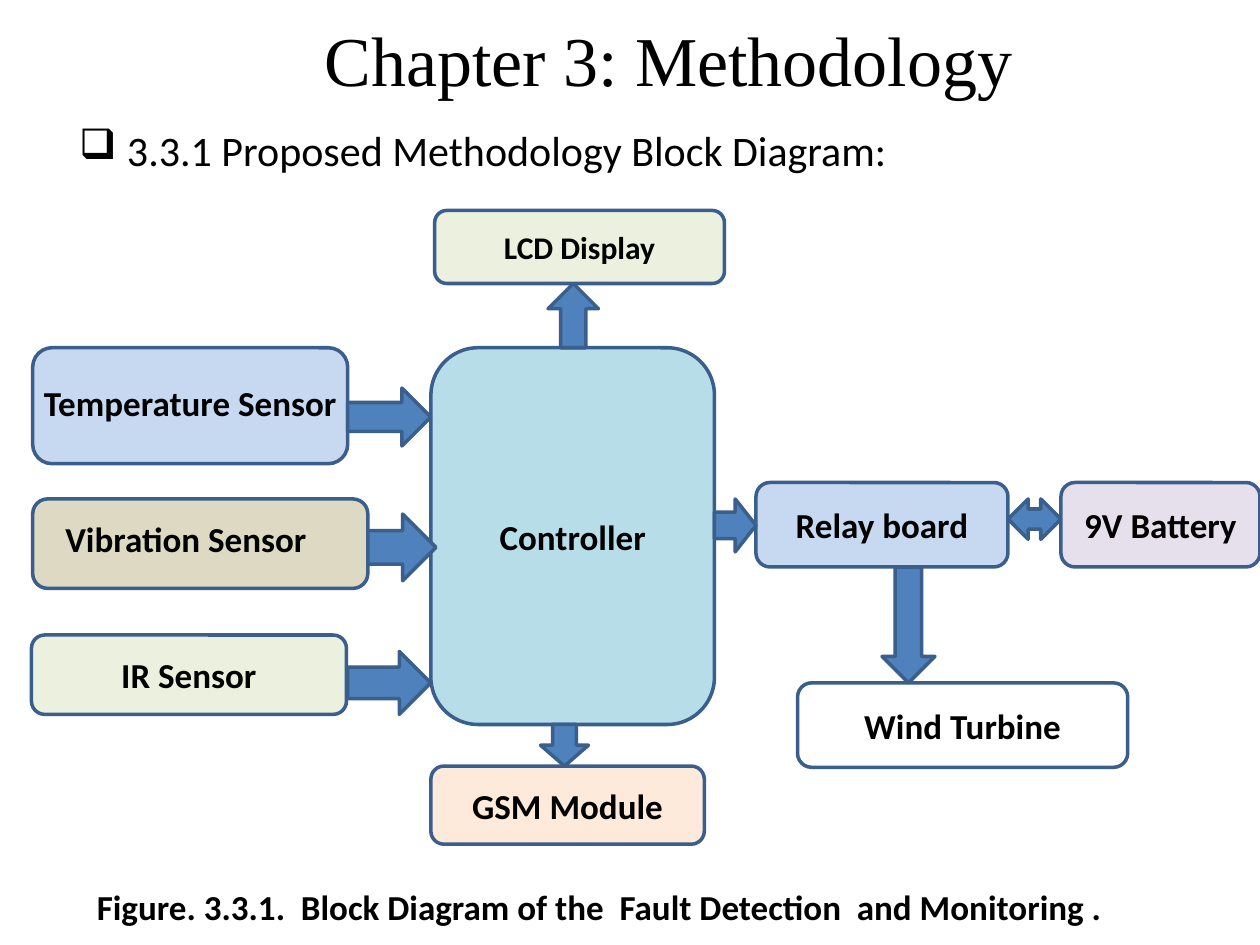
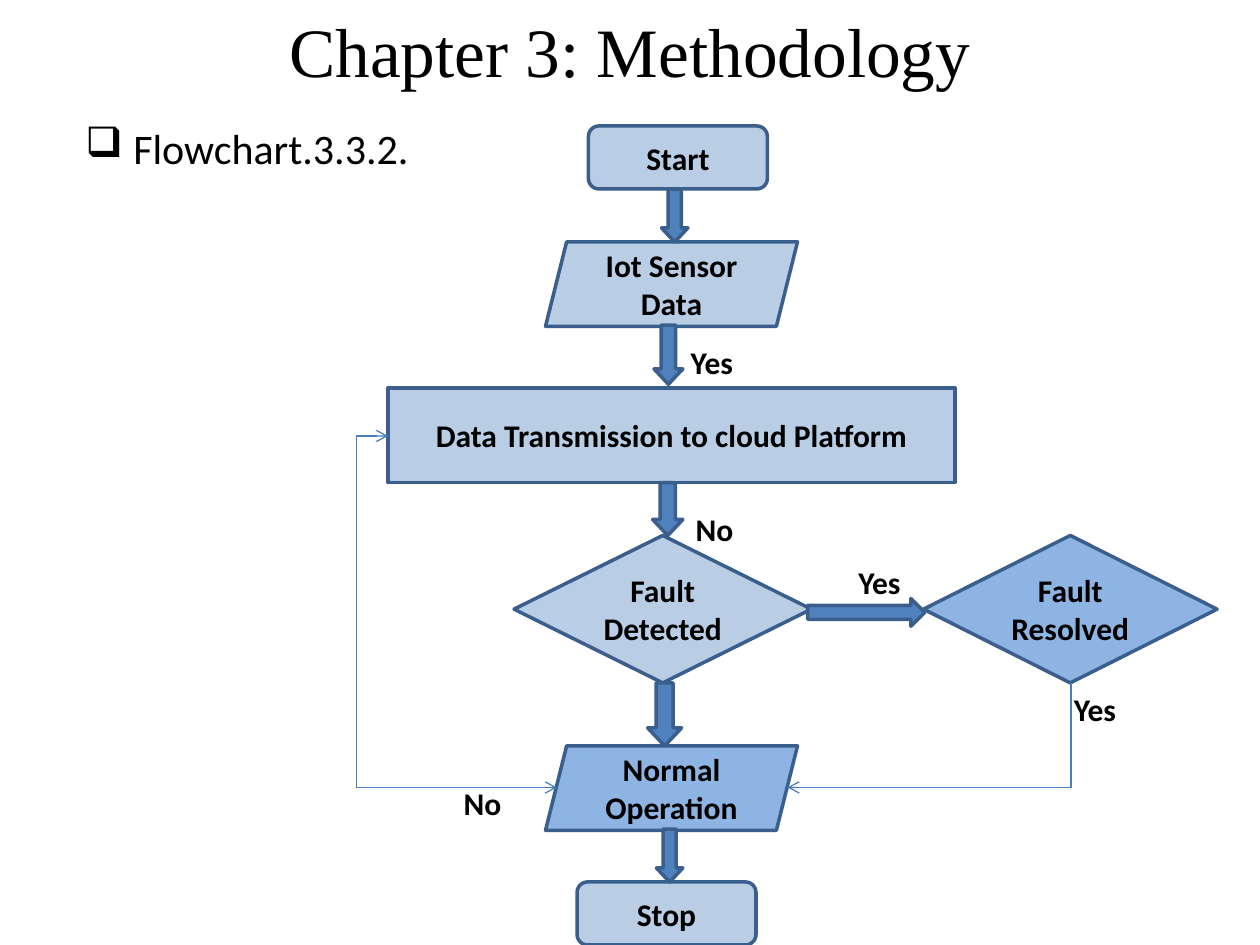
"""Build two methodology slides: a block diagram and a flowchart."""
import dataclasses
import typing

import pptx
import pptx.dml.color
import pptx.enum.shapes
import pptx.enum.text
import pptx.oxml.ns
import pptx.util
from lxml import etree

Inches = pptx.util.Inches
RGBColor = pptx.dml.color.RGBColor
Kind = pptx.enum.shapes.MSO_SHAPE
Align = pptx.enum.text.PP_ALIGN
Anchor = pptx.enum.text.MSO_ANCHOR
qn = pptx.oxml.ns.qn
Box = tuple[float, float, float, float]

BLACK = RGBColor(0, 0, 0)
WHITE = RGBColor(255, 255, 255)
EDGE = RGBColor(0x3A, 0x5F, 0x8C)
ARROW = RGBColor(0x4F, 0x81, 0xBD)
WIRE = RGBColor(0x4B, 0x7E, 0xBC)
AQUA = RGBColor(0xB7, 0xDE, 0xE8)
SKY = RGBColor(0xC6, 0xD9, 0xF1)
TAN = RGBColor(0xDD, 0xD9, 0xC3)
GREEN = RGBColor(0xEB, 0xF1, 0xDE)
LILAC = RGBColor(0xE6, 0xE0, 0xEC)
PEACH = RGBColor(0xFD, 0xEA, 0xDA)
PALE = RGBColor(0xB9, 0xCD, 0xE5)
BLUE = RGBColor(0x8E, 0xB4, 0xE3)
BODY = "Calibri"
SERIF = "Times New Roman"
TITLE = "Chapter 3: Methodology"


@dataclasses.dataclass
class Node:
    """A filled shape, with text if it has any."""
    box: Box
    fill: RGBColor = ARROW
    text: str = ""
    size: float = 18
    kind: Kind = Kind.ROUNDED_RECTANGLE
    head: float | None = None


@dataclasses.dataclass
class Label:
    """A line of bold text that stands free."""
    box: Box
    text: str
    size: float = 18
    align: Align = Align.CENTER
    wrap: bool = False


@dataclasses.dataclass
class Wire:
    """A thin bent line with an arrow at its start."""
    start: tuple[float, float]
    end: tuple[float, float]
    preset: str
    bend: int | None = None
    both: bool = False


def write(frame: typing.Any, text: str, *, size: float, font: str = BODY,
          bold: bool = False, align: Align = Align.LEFT, wrap: bool = True,
          anchor: Anchor = Anchor.TOP, bullet: str = "") -> None:
    """Put one formatted paragraph in a text frame."""
    frame.word_wrap = wrap
    frame.vertical_anchor = anchor
    para = frame.paragraphs[0]
    para.alignment = align
    if bullet:
        props = para._p.get_or_add_pPr()
        props.set("marL", str(Inches(0.38)))
        props.set("indent", str(Inches(-0.38)))
        etree.SubElement(props, qn("a:buChar")).set("char", bullet)
    run = para.add_run()
    run.text = text
    run.font.name = font
    run.font.size = pptx.util.Pt(size)
    run.font.bold = bold
    run.font.color.rgb = BLACK


def add_text(slide: typing.Any, box: Box, text: str, **form: typing.Any) -> None:
    """Add a text box."""
    area = slide.shapes.add_textbox(*map(Inches, box))
    write(area.text_frame, text, **form)


def add_node(slide: typing.Any, node: Node) -> None:
    """Draw a block or a block arrow."""
    shape = slide.shapes.add_shape(node.kind, *map(Inches, node.box))
    shape.shadow.inherit = False
    shape.fill.solid()
    shape.fill.fore_color.rgb = node.fill
    shape.line.color.rgb = EDGE
    shape.line.width = pptx.util.Pt(2)
    if node.head:
        shape.adjustments[1] = node.head
    if node.text:
        write(shape.text_frame, node.text, size=node.size, bold=True,
              align=Align.CENTER, anchor=Anchor.MIDDLE)


def add_wire(slide: typing.Any, wire: Wire) -> None:
    """Draw a bent connector."""
    line = slide.shapes.add_connector(
        pptx.enum.shapes.MSO_CONNECTOR.ELBOW,
        *map(Inches, wire.start + wire.end))
    line.line.color.rgb = WIRE
    line.line.width = pptx.util.Pt(0.75)
    props = line._element.spPr
    shape = props.find(qn("a:prstGeom"))
    shape.set("prst", wire.preset)
    if wire.bend is not None:
        guide = etree.SubElement(shape.find(qn("a:avLst")), qn("a:gd"))
        guide.set("name", "adj1")
        guide.set("fmla", f"val {wire.bend}")
    stroke = props.find(qn("a:ln"))
    for tip in ("a:headEnd", "a:tailEnd")[:1 + wire.both]:
        etree.SubElement(stroke, qn(tip)).set("type", "arrow")
    etree.SubElement(props, qn("a:effectLst"))


def add_slide(deck: typing.Any, title: Label, topic: Label,
              nodes: list[Node], wires: list[Wire], labels: list[Label]) -> None:
    """Add a slide with its title, topic and diagram."""
    slide = deck.slides.add_slide(deck.slide_layouts[6])
    add_text(slide, title.box, title.text, size=title.size, font=SERIF,
             align=title.align)
    add_text(slide, topic.box, topic.text, size=24, wrap=False, bullet="❑")
    for node in nodes:
        add_node(slide, node)
    for wire in wires:
        add_wire(slide, wire)
    for label in labels:
        add_text(slide, label.box, label.text, size=label.size, bold=True,
                 align=label.align, wrap=label.wrap)


BLOCKS = [
    Node((3.42, 2.76, 2.25, 2.99), AQUA, "Controller", 20),
    Node((0.26, 2.76, 2.5, 0.92), SKY),
    Node((0.26, 3.96, 2.66, 0.71), TAN),
    Node((0.25, 5.04, 2.5, 0.63), GREEN, "IR Sensor", 20),
    Node((3.45, 1.67, 2.3, 0.58), GREEN, "LCD Display"),
    Node((6, 3.83, 2, 0.67), SKY, "Relay board", 20),
    Node((8.42, 3.83, 1.58, 0.67), LILAC, "9V Battery", 20),
    Node((6.33, 5.42, 2.62, 0.67), WHITE, "Wind Turbine", 20),
    Node((3.42, 6.08, 2.17, 0.62), PEACH, "GSM Module", 20),
    Node((2.92, 4.08, 0.54, 0.53), kind=Kind.RIGHT_ARROW),
    Node((2.76, 3.08, 0.66, 0.46), kind=Kind.RIGHT_ARROW),
    Node((2.76, 5.17, 0.66, 0.5), kind=Kind.RIGHT_ARROW),
    Node((5.67, 3.96, 0.33, 0.42), kind=Kind.RIGHT_ARROW),
    Node((7, 4.5, 0.42, 0.92), kind=Kind.DOWN_ARROW),
    Node((4.29, 5.75, 0.38, 0.33), kind=Kind.DOWN_ARROW),
    Node((4.35, 2.25, 0.4, 0.51), kind=Kind.UP_ARROW),
    Node((8, 3.96, 0.42, 0.32), kind=Kind.LEFT_RIGHT_ARROW),
]
NAMES = [
    Label((0.25, 2.98, 2.55, 0.44), "Temperature Sensor", 20, Align.LEFT),
    Label((0.42, 4.06, 2.14, 0.44), "Vibration Sensor", 20, Align.LEFT),
    Label((0.67, 6.98, 8.67, 0.44),
          "Figure. 3.3.1.  Block Diagram of the  Fault Detection  and Monitoring .",
          20, Align.LEFT, True),
]
DROPS = [(5.25, 1.5, 0.21, 0.42), (5.19, 2.58, 0.23, 0.47),
         (5.18, 3.83, 0.24, 0.42), (5.21, 6.58, 0.21, 0.42),
         (5.14, 5.42, 0.27, 0.5)]
STEPS = [
    Node((4.67, 1, 1.42, 0.5), PALE, "Start"),
    Node((4.33, 1.92, 2, 0.67), PALE, "Iot Sensor Data", kind=Kind.PARALLELOGRAM),
    Node((3.08, 3.08, 4.5, 0.75), PALE, "Data Transmission to cloud Platform",
         kind=Kind.RECTANGLE),
    Node((4.08, 4.25, 2.36, 1.17), PALE, "Fault Detected", kind=Kind.DIAMOND),
    Node((7.33, 4.25, 2.33, 1.17), BLUE, "Fault Resolved", kind=Kind.DIAMOND),
    Node((4.33, 5.92, 2, 0.67), BLUE, "Normal Operation", kind=Kind.PARALLELOGRAM),
    Node((4.58, 7, 1.42, 0.5), PALE, "Stop"),
    *(Node(box, kind=Kind.DOWN_ARROW, head=0.53) for box in DROPS),
    Node((6.41, 4.75, 0.93, 0.22), kind=Kind.RIGHT_ARROW),
]
WIRES = [
    Wire((3.08, 3.46), (4.42, 6.25), "bentConnector3", -18800, True),
    Wire((6.25, 6.25), (8.5, 5.42), "bentConnector2"),
]
SIGNS = [
    *(Label((left, top, 0.5, 0.4), "No") for left, top in [(3.58, 6.17), (5.42, 4)]),
    *(Label((left, top, 0.54, 0.4), "Yes")
      for left, top in [(5.38, 2.67), (6.71, 4.42), (8.42, 5.43)]),
]


def main() -> None:
    """Build and save the deck."""
    deck = pptx.Presentation()
    deck.slide_width = Inches(10)
    deck.slide_height = Inches(7.5)
    add_slide(deck, Label((1, 0.08, 8.61, 0.77), TITLE, 40),
              Label((0.53, 0.94, 6.73, 0.5), "3.3.1 Proposed Methodology Block Diagram:"),
              BLOCKS, [], NAMES)
    add_slide(deck, Label((0.5, 0.02, 9, 0.77), TITLE, 39.6),
              Label((0.58, 0.92, 2.86, 0.5), "Flowchart.3.3.2."),
              STEPS, WIRES, SIGNS)
    deck.save("out.pptx")


if __name__ == "__main__":
    main()
